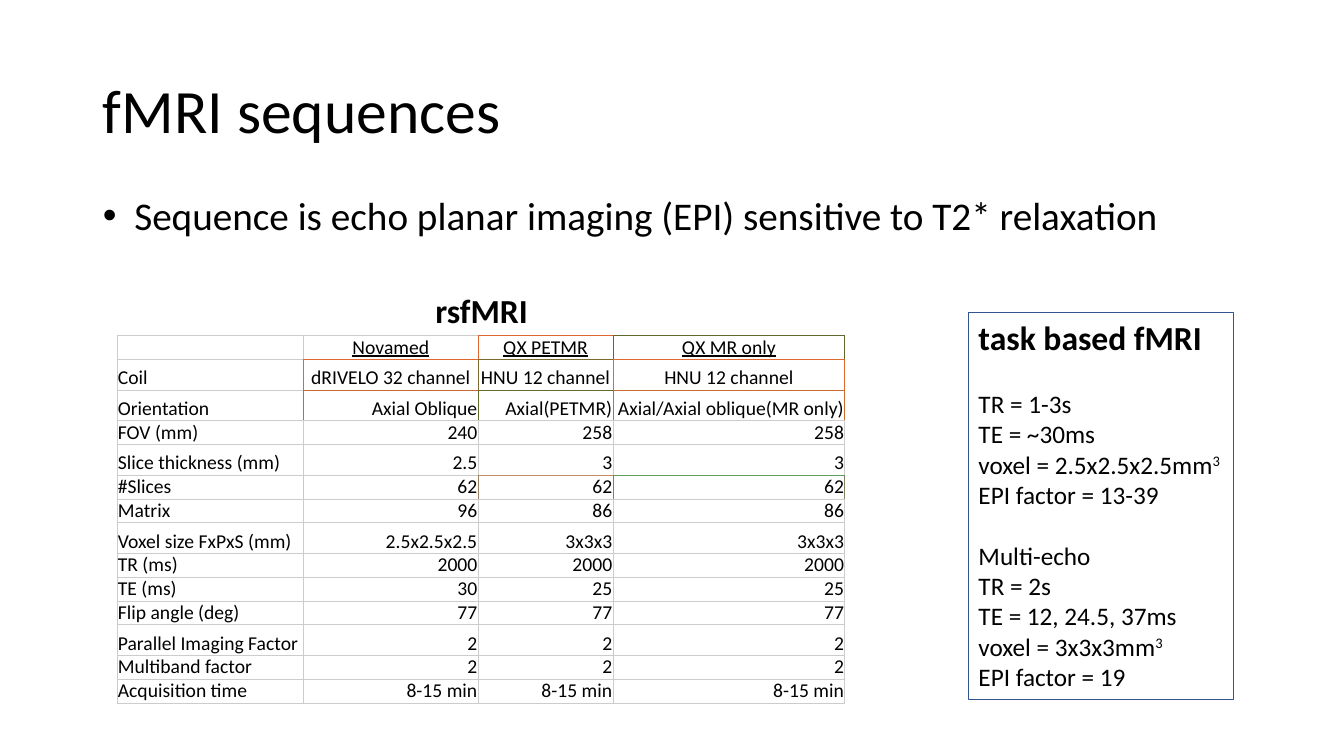
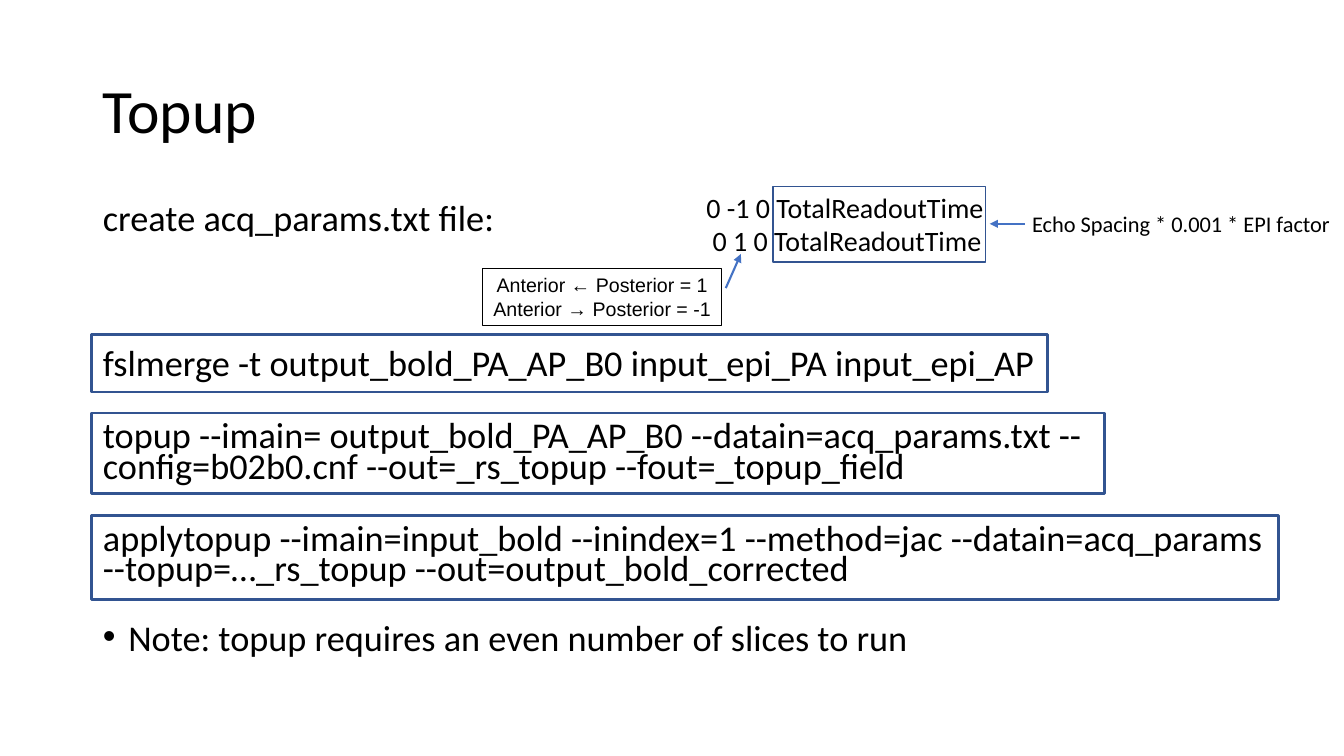
from collections import namedtuple

from lxml.etree import SubElement
from pptx import Presentation
from pptx.dml.color import RGBColor
from pptx.enum.shapes import MSO_CONNECTOR as Connector, MSO_SHAPE as Shape
from pptx.enum.text import MSO_ANCHOR as Anchor, MSO_AUTO_SIZE as Fit, PP_ALIGN as Align
from pptx.oxml.ns import qn
from pptx.util import Cm, Pt

Box = namedtuple("Box", "left top width height")

BLACK, FRAME, ARROW, GRID = "000000", "325491", "4472C4", "CCCCCC"
TITLE_BOX = Box(2.34, 1.02, 29.21, 3.68)
TITLE_FONT = {"size": Pt(44)}
TITLE_PARA = {"alignment": Align.LEFT, "line_spacing": 0.9}
BODY_PARA = {"space_before": Pt(0)}
CODE_PARA = {"space_before": Pt(10), "line_spacing": 0.7}

# Scan protocol: label, then one value per scanner
PROTOCOL = [
    ["", "Novamed", "QX PETMR", "QX MR only"],
    ["Coil", "dRIVELO 32 channel", "HNU 12 channel", "HNU 12 channel"],
    ["Orientation", "Axial Oblique", "Axial(PETMR)", "Axial/Axial oblique(MR only)"],
    ["FOV (mm)", "240", "258", "258"],
    ["Slice thickness (mm)", "2.5", "3", "3"],
    ["#Slices", "62", "62", "62"],
    ["Matrix", "96", "86", "86"],
    ["Voxel size FxPxS (mm)", "2.5x2.5x2.5", "3x3x3", "3x3x3"],
    ["TR (ms)", "2000", "2000", "2000"],
    ["TE (ms)", "30", "25", "25"],
    ["Flip angle (deg)", "77", "77", "77"],
    ["Parallel Imaging Factor", "2", "2", "2"],
    ["Multiband factor", "2", "2", "2"],
    ["Acquisition time", "8-15 min", "8-15 min", "8-15 min"],
]
COLUMN_WIDTHS = [4.7, 4.4, 3.4, 5.84]
TALL_ROWS = {1, 2, 4, 7, 11}
ROW_HEIGHT, TALL_HEIGHT = 0.6, 0.77

# Coloured rules below and to the right of the cells of a row
PLAIN_EDGES = [GRID] * 4
BELOW = {
    -1: [GRID, GRID, "E0662F", "60672F"],
    0: [GRID, "E0682F", "80692F", "E0692F"],
    1: [GRID, "C86A2F", "606B2F", "C86B2F"],
    4: [GRID, GRID, "C88A60", "609E60"],
}
BESIDE = {
    0: [GRID, "E0662F", "60672F", "60672F"],
    1: ["E0682F", "80692F", "E0692F", "E0692F"],
    2: ["C86A2F", "606B2F", "C86B2F", "C86B2F"],
    5: ["C8DC60", "988061", "808361", "808361"],
}

GAP = {"space_before": Pt(22)}
TASK_LINES = [
    ("task based fMRI", {}, {"size": Pt(24), "bold": True}),
    ("TR = 1-3s", GAP, {}),
    "TE = ~30ms",
    "voxel = 2.5x2.5x2.5mm^3",
    "EPI factor = 13-39",
    ("Multi-echo", GAP, {}),
    "TR = 2s",
    "TE = 12, 24.5, 37ms",
    "voxel = 3x3x3mm^3",
    "EPI factor = 19",
]

CODE_GAP = {"space_before": Pt(29.5)}
TOPUP_LINES = [
    "create acq_params.txt file:",
    ("fslmerge -t output_bold_PA_AP_B0 input_epi_PA input_epi_AP",
     {"space_before": Pt(82.5)}, {}),
    ("topup --imain= output_bold_PA_AP_B0 --datain=acq_params.txt "
     "--config=b02b0.cnf --out=_rs_topup --fout=_topup_field", CODE_GAP, {}),
    ("applytopup --imain=input_bold --inindex=1 --method=jac --datain=acq_params "
     "--topup=…_rs_topup --out=output_bold_corrected", CODE_GAP, {}),
    ("Note: topup requires an even number of slices to run",
     {"space_before": Pt(28.5)}, {}),
]
# Top, width and height of the frame around each command
CODE_FRAMES = [(3.35, 24.08, 1.45), (5.33, 25.53, 2.03), (7.92, 29.92, 2.11)]


def ink(code):
    return RGBColor.from_string(code)


def dress(target, values):
    for name, value in values.items():
        setattr(target, name, value)


def place(item, box):
    dress(item, {name: Cm(value) for name, value in box._asdict().items()})


def inside(box, left, top, width=0, height=0):
    return Box(box.left + left, box.top + top, width, height)


def write(frame, lines, font, style=None):
    """Write lines; a caret marks the superscript at the end of a line."""
    for index, line in enumerate(lines):
        text, own_style, own_font = (line, {}, {}) if isinstance(line, str) else line
        para = frame.add_paragraph() if index else frame.paragraphs[0]
        dress(para, {**(style or {}), **own_style})
        base, _, raised = text.partition("^")
        for part in filter(None, (base, raised)):
            span = para.add_run()
            span.text = part
            dress(span.font, {"name": "Calibri", **font, **own_font})
            span.font.color.rgb = ink(BLACK)
            if part is raised:
                span.font._element.set("baseline", "30000")


def set_indent(para, margin, hanging=0.0, bullet=None):
    props = para._p.get_or_add_pPr()
    props.set("marL", str(Cm(margin)))
    props.set("indent", str(-Cm(hanging)))
    if bullet:
        SubElement(props, qn("a:buFont"), typeface="Arial")
        SubElement(props, qn("a:buChar"), char=bullet)
    else:
        SubElement(props, qn("a:buNone"))


def outline(item, color, width):
    item.line.color.rgb = ink(color)
    item.line.width = Pt(width)


def add_page(deck, title, body_box, body_lines, font, style):
    """Add a slide with its title and body; return it and the body paragraphs."""
    page = deck.slides.add_slide(deck.slide_layouts[1])
    body = page.placeholders[1]
    for holder, box in ((page.shapes.title, TITLE_BOX), (body, body_box)):
        place(holder, box)
        dress(holder.text_frame, {"auto_size": Fit.NONE, "word_wrap": True})
    page.shapes.title.text_frame.vertical_anchor = Anchor.MIDDLE
    write(page.shapes.title.text_frame, [title], TITLE_FONT, TITLE_PARA)
    write(body.text_frame, body_lines, font, style)
    return page, body.text_frame.paragraphs


def add_note(page, box, lines, font, style=None, border=None):
    note = page.shapes.add_textbox(*map(Cm, box))
    dress(note.text_frame, {"word_wrap": False, "auto_size": Fit.SHAPE_TO_FIT_TEXT})
    write(note.text_frame, lines, font, style)
    if border:
        outline(note, border, 0.75)
    return note


def add_frame(page, box, width):
    frame = page.shapes.add_shape(Shape.RECTANGLE, *map(Cm, box))
    frame.shadow.inherit = False
    frame.fill.background()
    outline(frame, FRAME, width)


def add_arrow(page, start, end):
    arrow = page.shapes.add_connector(
        Connector.STRAIGHT, *map(Cm, (start.left, start.top, end.left, end.top)))
    outline(arrow, ARROW, 1.5)
    props = arrow._element.spPr
    SubElement(props.find(qn("a:ln")), qn("a:tailEnd"), type="triangle")
    SubElement(props, qn("a:effectLst"))


def set_borders(cell, row, column):
    beside = BESIDE.get(row, PLAIN_EDGES)
    edges = {
        "a:lnL": beside[column - 1] if column else GRID,
        "a:lnR": beside[column],
        "a:lnT": BELOW.get(row - 1, PLAIN_EDGES)[column],
        "a:lnB": BELOW.get(row, PLAIN_EDGES)[column],
    }
    props = cell._tc.get_or_add_tcPr()
    for tag, color in edges.items():
        line = SubElement(props, qn(tag), w=str(Pt(0.5)))
        SubElement(SubElement(line, qn("a:solidFill")), qn("a:srgbClr"), val=color)


def add_protocol(page, box):
    """Caption and table of the resting-state protocol."""
    add_note(page, inside(box, 7.77, 0, 2.87, 1.27), ["rsfMRI"],
             {"size": Pt(24), "bold": True})
    table = page.shapes.add_table(
        len(PROTOCOL), len(COLUMN_WIDTHS),
        *map(Cm, inside(box, 0, 1.27, box.width, box.height - 1.27))).table
    dress(table, {"first_row": False, "horz_banding": False})
    for column, width in zip(table.columns, COLUMN_WIDTHS):
        column.width = Cm(width)
    for row, values in enumerate(PROTOCOL):
        table.rows[row].height = Cm(TALL_HEIGHT if row in TALL_ROWS else ROW_HEIGHT)
        for column, text in enumerate(values):
            cell = table.cell(row, column)
            dress(cell, {"margin_left": Cm(0.02), "margin_right": Cm(0.02),
                         "margin_top": 0, "margin_bottom": 0,
                         "vertical_anchor": Anchor.BOTTOM})
            align = Align.LEFT if not column else Align.CENTER if row < 2 else Align.RIGHT
            write(cell.text_frame, [text], {"size": Pt(14), "underline": row == 0},
                  {"alignment": align})
            if not text:
                SubElement(cell.text_frame.paragraphs[0]._p,
                           qn("a:endParaRPr"), sz="1400")
            set_borders(cell, row, column)
            cell.fill.background()


def add_readout(page, box):
    """Contents of the parameter file with its two explanations."""
    readout = add_note(page, inside(box, 5.38, 0, 8.64, 1.96),
                       ["0 -1 0 TotalReadoutTime", "0 1 0 TotalReadoutTime"],
                       {"size": Pt(20)})
    readout.text_frame.word_wrap = True
    set_indent(readout.text_frame.paragraphs[1], 0.16)
    add_note(page, inside(box, 0, 2.09, 6.02, 1.45),
             ["Anterior ← Posterior = 1", "Anterior → Posterior = -1"],
             {"size": Pt(14), "name": "Arial"}, {"alignment": Align.CENTER}, BLACK)
    add_note(page, inside(box, 13.59, 0.51, 8.41, 0.94),
             ["Echo Spacing * 0.001 * EPI factor"], {"size": Pt(16)})
    add_frame(page, inside(box, 7.31, 0.03, 5.36, 1.9), 1)
    add_arrow(page, inside(box, 13.66, 0.97), inside(box, 12.77, 0.97))
    add_arrow(page, inside(box, 6.12, 2.59), inside(box, 6.5, 1.73))


def sequences_slide(deck):
    page, paras = add_page(
        deck, "fMRI sequences", Box(2.34, 4.7, 27.38, 1.45),
        ["Sequence is echo planar imaging (EPI) sensitive to T2* relaxation"],
        {"size": Pt(28)}, BODY_PARA)
    set_indent(paras[0], 0.79, 0.79, "•")
    add_protocol(page, Box(2.95, 7.19, 18.34, 10.52))
    add_note(page, Box(24.41, 7.87, 6.68, 9.75), TASK_LINES, {"size": Pt(18)},
             border=FRAME)


def topup_slide(deck):
    body_box = Box(2.34, 5.08, 30.33, 12.09)
    page, paras = add_page(deck, "Topup", body_box, TOPUP_LINES,
                           {"size": Pt(25.9)}, CODE_PARA)
    for para in paras[:-1]:
        set_indent(para, 0)
    set_indent(paras[-1], 0.64, 0.64, "•")
    add_readout(page, Box(12.17, 4.67, 22, 3.54))
    for top, width, height in CODE_FRAMES:
        add_frame(page, inside(body_box, -0.03, top, width, height), 2)


def main():
    deck = Presentation()
    dress(deck, {"slide_width": Cm(33.87), "slide_height": Cm(19.05)})
    sequences_slide(deck)
    topup_slide(deck)
    deck.save("out.pptx")


if __name__ == "__main__":
    main()
